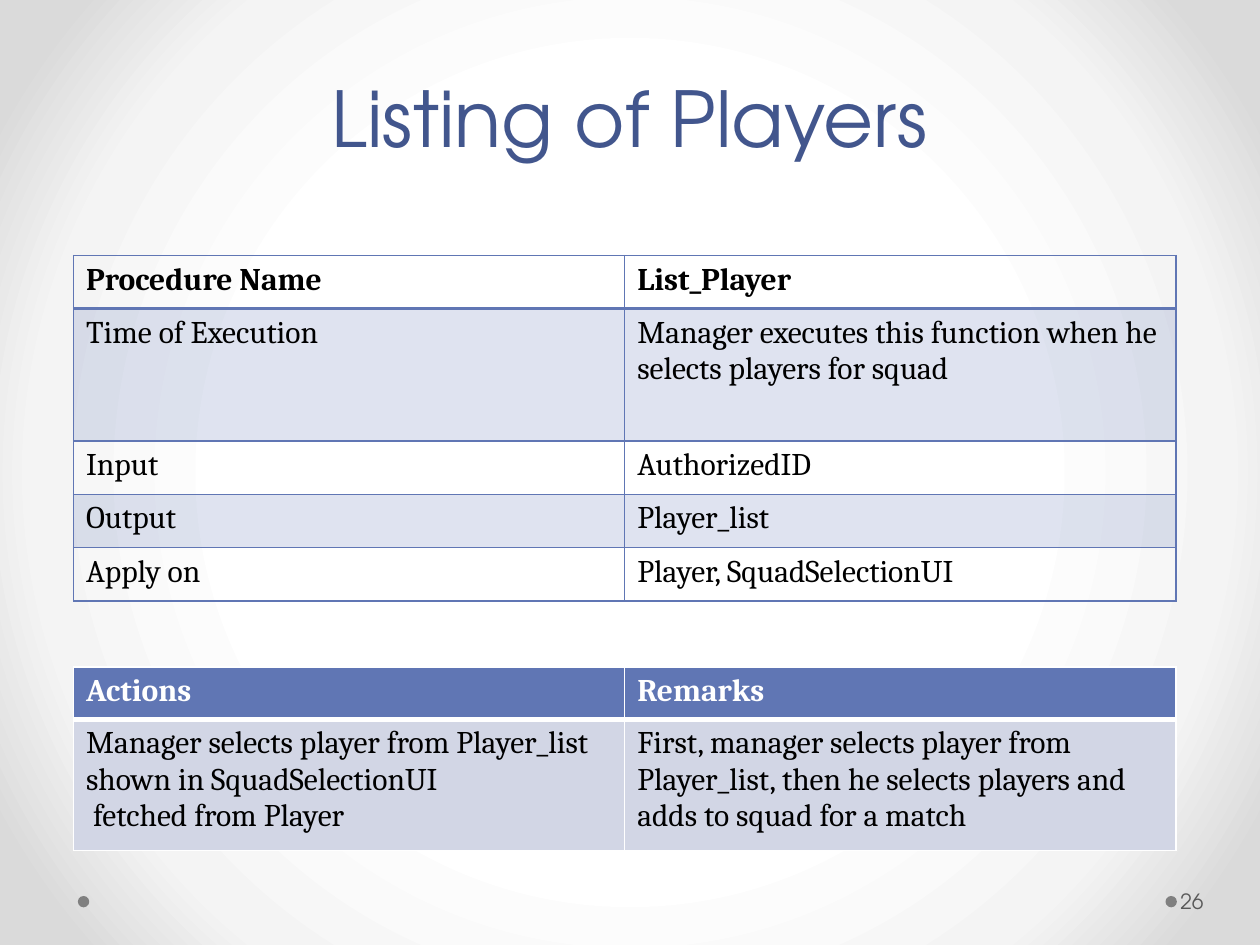
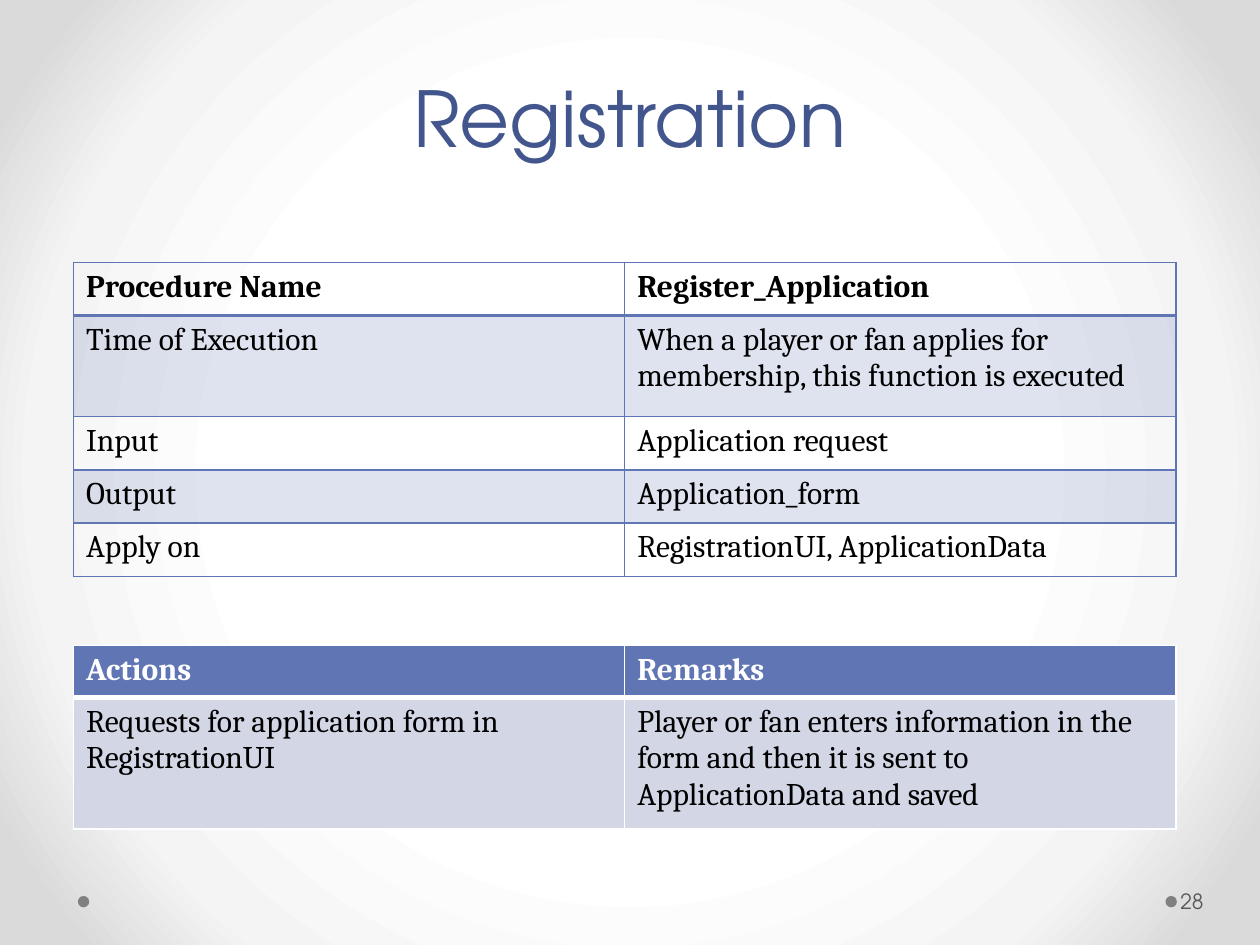
from typing import NamedTuple

from lxml.etree import SubElement
from pptx import Presentation
from pptx.dml.color import RGBColor
from pptx.enum.shapes import MSO_SHAPE
from pptx.enum.text import MSO_ANCHOR, PP_ALIGN
from pptx.oxml import parse_xml
from pptx.oxml.ns import nsdecls, qn
from pptx.util import Pt

# Shared look
BLUE, NAVY, PALE = "6076B4", "42568D", "D2D6E5"
BLACK, WHITE, GREY, DIM = "000000", "FFFFFF", "808080", "595959"
SERIF, SANS = "Cambria", "TeX Gyre Adventor"
STOPS = ((50, "FFFFFF"), (76, "F4F4F4"), (92, "DADADA"))
LEFT, WIDTH = 42, 315
LABELS = ("Procedure Name", "Time of Execution", "Input", "Output", "Apply on")


class Style(NamedTuple):
    line: str
    rule: float  # line below the header row
    head: str  # header text
    fills: tuple[str | None, ...]  # header, odd rows, even rows
    alpha: int


class Page(NamedTuple):
    title: str
    number: str
    top: float
    tall: float  # height of the execution row
    facts: tuple[str, ...]
    low: float  # top of the lower table
    action: str
    remark: str


PLAIN = Style(BLUE, 2, BLACK, (None, BLUE, None), 20)
SOLID = Style(WHITE, 3, WHITE, (BLUE, PALE, PALE), 100)

PAGES = (
    Page("Listing of Players", "26", 146, 75.5,
         ("List_Player",
          "Manager executes this function when he selects players for squad",
          "AuthorizedID", "Player_list", "Player, SquadSelectionUI"),
         381,
         "Manager selects player from Player_list shown in SquadSelectionUI\n"
         " fetched from Player",
         "First, manager selects player from Player_list, then he selects "
         "players and adds to squad for a match"),
    Page("Registration", "28", 150, 57.5,
         ("Register_Application",
          "When a player or fan applies for membership, this function is executed",
          "Application request", "Application_form",
          "RegistrationUI, ApplicationData"),
         368.75,
         "Requests for application form in RegistrationUI",
         "Player or fan enters information in the form and then it is sent to "
         "ApplicationData and saved"),
)


def color(code: str) -> RGBColor:
    return RGBColor.from_string(code)


def write(frame, text: str, size: float, face: str, code: str,
          bold: bool = False, align=PP_ALIGN.LEFT) -> None:
    for i, line in enumerate(text.split("\n")):
        para = frame.add_paragraph() if i else frame.paragraphs[0]
        para.alignment = align
        run = para.add_run()
        run.text = line
        font = run.font
        font.size, font.name, font.bold = Pt(size), face, bold
        font.color.rgb = color(code)


# Background and dots on the master
def set_back(master) -> None:
    master.background.fill.solid()
    props = master.element.cSld.find(qn("p:bg")).find(qn("p:bgPr"))
    stops = "".join(
        f'<a:gs pos="{pos * 1000}"><a:srgbClr val="{code}"/></a:gs>'
        for pos, code in STOPS)
    grad = parse_xml(
        f'<a:gradFill {nsdecls("a")} rotWithShape="1"><a:gsLst>{stops}</a:gsLst>'
        '<a:path path="circle"><a:fillToRect l="50000" t="50000" r="50000" '
        'b="50000"/></a:path></a:gradFill>')
    props.replace(props.find(qn("a:solidFill")), grad)


def add_dots(slide, master) -> None:
    tree = master.element.cSld.spTree
    for num, left in enumerate((666, 44.5), 20):
        dot = slide.shapes.add_shape(
            MSO_SHAPE.OVAL, Pt(left), Pt(512), Pt(6.5), Pt(6.5))
        dot.shadow.inherit = False
        dot.fill.solid()
        dot.fill.fore_color.rgb = color(GREY)
        dot.line.fill.background()
        dot.element.nvSpPr.cNvPr.set("id", str(num))
        tree.append(dot.element)


# Tables
def set_lines(cell, code: str, above: float, below: float) -> None:
    props = cell._tc.get_or_add_tcPr()
    sides = (("L", 1), ("R", 1), ("T", above), ("B", below))
    for i, (side, width) in enumerate(sides):
        props.insert(i, parse_xml(
            f'<a:ln{side} {nsdecls("a")} w="{Pt(width)}"><a:solidFill>'
            f'<a:srgbClr val="{code}"/></a:solidFill></a:ln{side}>'))


def set_fill(cell, code: str | None, alpha: int) -> None:
    if code is None:
        cell.fill.background()
        return
    cell.fill.solid()
    cell.fill.fore_color.rgb = color(code)
    if alpha < 100:
        tint = cell._tc.tcPr.find(qn("a:solidFill"))[0]
        SubElement(tint, qn("a:alpha")).set("val", str(alpha * 1000))


def add_grid(slide, top: float, highs: tuple[float, ...],
             rows: tuple[tuple[str, str], ...], style: Style) -> None:
    grid = slide.shapes.add_table(
        len(rows), 2, Pt(LEFT), Pt(top), Pt(2 * WIDTH), Pt(sum(highs))).table
    grid.first_row = grid.horz_banding = False
    for col in grid.columns:
        col.width = Pt(WIDTH)
    for r, (texts, high) in enumerate(zip(rows, highs)):
        grid.rows[r].height = Pt(high)
        head = r == 0
        fill = style.fills[0 if head else 2 - r % 2]
        for c, text in enumerate(texts):
            cell = grid.cell(r, c)
            write(cell.text_frame, text, 18, SERIF,
                  style.head if head else BLACK, head)
            set_fill(cell, fill, style.alpha)
            set_lines(cell, style.line, style.rule if r == 1 else 1,
                      style.rule if head else 1)


# Title and page number
def add_title(slide, text: str) -> None:
    title = slide.shapes.title
    title.left, title.top = Pt(36), Pt(21.6)
    title.width, title.height = Pt(648), Pt(90)
    title.text_frame.vertical_anchor = MSO_ANCHOR.MIDDLE
    write(title.text_frame, text, 44, SANS, NAVY, align=PP_ALIGN.CENTER)


def add_number(slide, text: str) -> None:
    box = slide.shapes.add_textbox(Pt(672.5), Pt(500.5), Pt(44), Pt(28.8))
    frame = box.text_frame
    frame.word_wrap = True
    frame.vertical_anchor = MSO_ANCHOR.MIDDLE
    frame.margin_left = Pt(2)
    frame.margin_right = frame.margin_top = frame.margin_bottom = Pt(3.6)
    write(frame, text, 12, SANS, DIM)


def main() -> None:
    deck = Presentation()
    deck.slide_width, deck.slide_height = Pt(720), Pt(540)
    master = deck.slide_master
    set_back(master)
    for i, page in enumerate(PAGES):
        slide = deck.slides.add_slide(deck.slide_layouts[5])
        if i == 0:
            add_dots(slide, master)
        add_title(slide, page.title)
        add_grid(slide, page.top, (30.5, page.tall, 30.5, 30.5, 30.5),
                 tuple(zip(LABELS, page.facts)), PLAIN)
        add_grid(slide, page.low, (30, 75),
                 (("Actions", "Remarks"), (page.action, page.remark)), SOLID)
        add_number(slide, page.number)
    deck.save("out.pptx")


if __name__ == "__main__":
    main()
